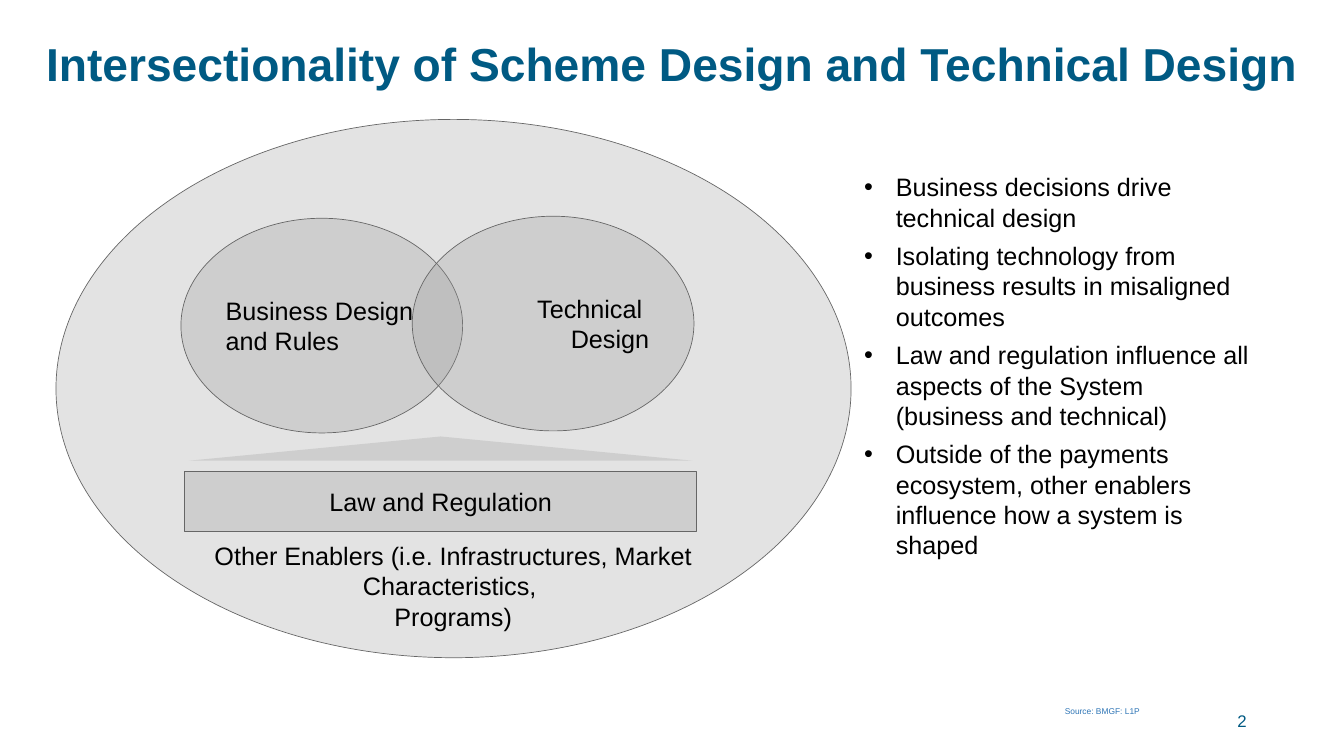
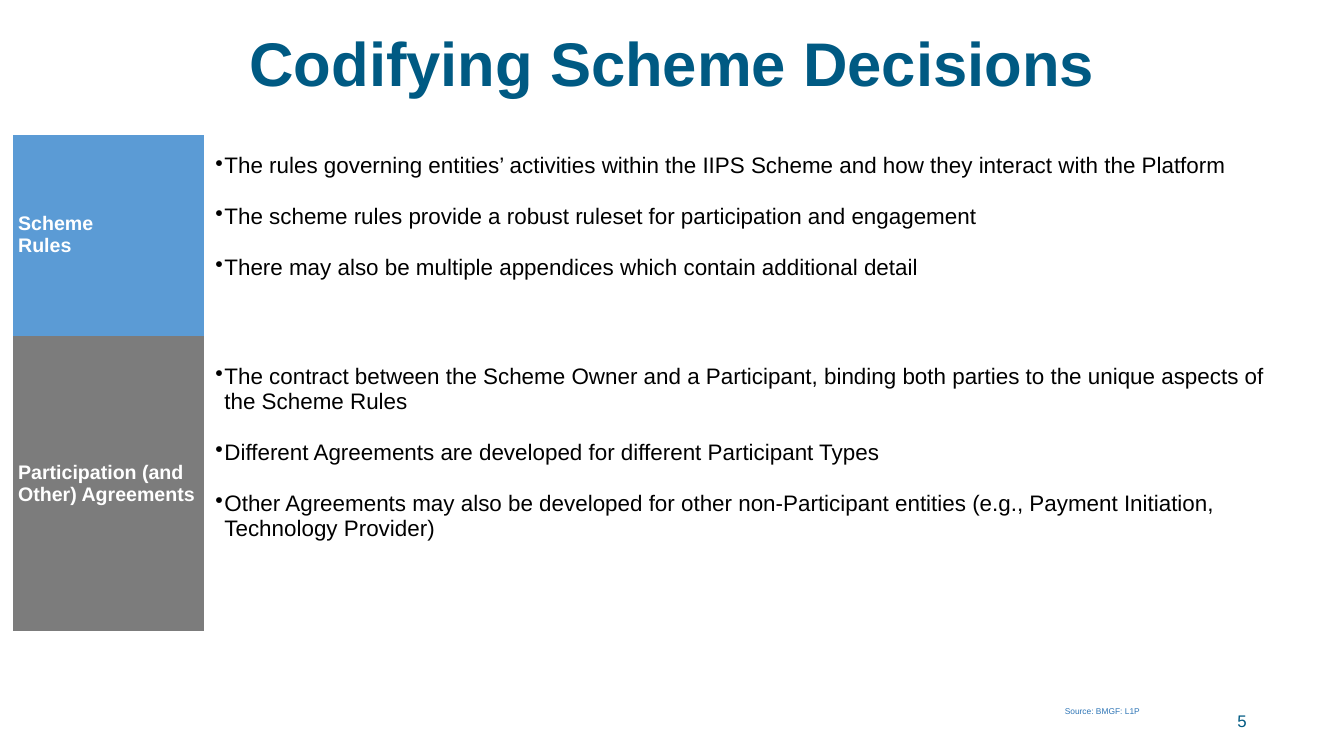
"""Build two slides on scheme design and the codifying of scheme decisions."""
import dataclasses
import typing

import lxml.etree
import pptx
import pptx.dml.color
import pptx.enum.shapes
import pptx.enum.text
import pptx.oxml.ns
import pptx.util

Pt = pptx.util.Pt
Align = pptx.enum.text.PP_ALIGN
Anchor = pptx.enum.text.MSO_ANCHOR
Kind = pptx.enum.shapes.MSO_SHAPE
qn = pptx.oxml.ns.qn

FONT = "Arial"
HUES = {
    "title": "005A83",
    "source": "2E75B6",
    "text": "000000",
    "white": "FFFFFF",
    "gray": "999999",
    "edge": "666666",
    "rules": "5B9BD5",
    "deals": "7C7C7C",
}
PLAIN_TABLE = "{2D5ABB26-0587-4C30-8999-92F81FD0307C}"


@dataclasses.dataclass(frozen=True)
class Box:
    left: float
    top: float
    width: float
    height: float

    def spots(self) -> list:
        return [Pt(v) for v in (self.left, self.top, self.width, self.height)]


@dataclasses.dataclass(frozen=True)
class Style:
    size: float
    hue: str = "text"
    bold: bool = False
    align: typing.Any = Align.LEFT


@dataclasses.dataclass(frozen=True)
class Zone:
    kind: typing.Any
    box: Box
    text: str = ""
    align: typing.Any = Align.CENTER
    edge: float = 1


@dataclasses.dataclass(frozen=True)
class Row:
    height: float
    hue: str
    head: list[str]
    points: list[str]
    inset: float


TITLE_BOX = Box(44.6, 36.7, 1831, 117.4)
PAGE_BOX = Box(1356.5, 1000.8, 432, 57.6)
SOURCE_BOX = Box(1514.2, 1005.1, 243.4, 28.8)
LIST_BOX = Box(1227.6, 182.2, 573.1, 680.4)
OTHER_BOX = Box(251, 770, 793, 134)
TABLE_BOX = Box(18.7, 192.2, 1831, 709.2)
HEAD_WIDTH = 272.2

BODY = Style(36)
CELL = Style(32)
HEAD = Style(28, "white", True)
GAP = 36.8

ZONES = [
    Zone(Kind.OVAL, Box(80, 170.6, 1136, 769)),
    Zone(Kind.OVAL, Box(258.5, 311.8, 402.5, 306.7), "Business Design and Rules", Align.LEFT),
    Zone(Kind.OVAL, Box(589, 308.9, 402.5, 306.7), "Technical \nDesign", Align.RIGHT),
    Zone(Kind.RECTANGLE, Box(263.5, 673.9, 732.2, 85.7), "Law and Regulation", edge=1.5),
    Zone(Kind.ISOSCELES_TRIANGLE, Box(270, 623.5, 719.3, 34.6), edge=0),
]

POINTS = [
    "Business decisions drive technical design",
    "Isolating technology from business results in misaligned outcomes",
    "Law and regulation influence all aspects of the System (business and technical)",
    "Outside of the payments ecosystem, other enablers influence how a system is shaped",
]

ROWS = [
    Row(287.3, "rules", ["Scheme", "Rules"], [
        "The rules governing entities’ activities within the IIPS Scheme and how they interact with the Platform",
        "The scheme rules provide a robust ruleset for participation and engagement",
        "There may also be multiple appendices which contain additional detail",
    ], 26.6),
    Row(421.9, "deals", ["Participation (and Other) Agreements"], [
        "The contract between the Scheme Owner and a Participant, binding both parties to the unique aspects of the Scheme Rules",
        "Different Agreements are developed for different Participant Types",
        "Other Agreements may also be developed for other non-Participant entities (e.g., Payment Initiation, Technology Provider)",
    ], 40.4),
]


def tint(name: str) -> pptx.dml.color.RGBColor:
    return pptx.dml.color.RGBColor.from_string(HUES[name])


def write(par: typing.Any, text: str, style: Style) -> None:
    par.alignment = style.align
    for at, part in enumerate(text.split("\n")):
        if at:
            par.add_line_break()
        run = par.add_run()
        run.text = part
        font = run.font
        font.name, font.size, font.bold = FONT, Pt(style.size), style.bold
        font.color.rgb = tint(style.hue)


def fill_frame(frame: typing.Any, lines: list[str], style: Style) -> None:
    for at, line in enumerate(lines):
        par = frame.add_paragraph() if at else frame.paragraphs[0]
        write(par, line, style)


def fill_list(frame: typing.Any, lines: list[str], style: Style, left: float,
              hang: float, before: float, after: float = 0) -> None:
    fill_frame(frame, lines, style)
    for at, par in enumerate(frame.paragraphs):
        props = par._p.get_or_add_pPr()
        props.set("marL", str(Pt(left)))
        props.set("indent", str(-Pt(hang)))
        lxml.etree.SubElement(props, qn("a:buChar")).set("char", "•")
        par.space_before = Pt(before if at else 0)
        par.space_after = Pt(after)


def set_frame(frame: typing.Any, anchor: typing.Any) -> None:
    frame.word_wrap = True
    frame.auto_size = pptx.enum.text.MSO_AUTO_SIZE.NONE
    frame.vertical_anchor = anchor


def place(shape: typing.Any, box: Box) -> None:
    shape.left, shape.top, shape.width, shape.height = box.spots()


def add_text(slide: typing.Any, box: Box, text: str, style: Style,
             anchor: typing.Any = Anchor.MIDDLE) -> None:
    frame = slide.shapes.add_textbox(*box.spots()).text_frame
    set_frame(frame, anchor)
    write(frame.paragraphs[0], text, style)


def add_zone(slide: typing.Any, zone: Zone) -> None:
    shape = slide.shapes.add_shape(zone.kind, *zone.box.spots())
    shape.shadow.inherit = False
    shape.fill.solid()
    shape.fill.fore_color.rgb = tint("gray")
    color = shape.fill._xPr.find(qn("a:solidFill"))[0]
    lxml.etree.SubElement(color, qn("a:alpha")).set("val", "27000")
    if zone.edge:
        shape.line.color.rgb = tint("edge")
        shape.line.width = Pt(zone.edge)
    else:
        shape.line.fill.background()
    if zone.text:
        frame = shape.text_frame
        set_frame(frame, Anchor.MIDDLE)
        frame.margin_left = frame.margin_right = Pt(5)
        frame.margin_top = frame.margin_bottom = Pt(3)
        write(frame.paragraphs[0], zone.text, Style(36, align=zone.align))


def add_slide(deck: typing.Any, layout: int, title: str, size: float, page: str) -> typing.Any:
    slide = deck.slides.add_slide(deck.slide_layouts[layout])
    head = slide.shapes.title
    place(head, TITLE_BOX)
    set_frame(head.text_frame, Anchor.MIDDLE)
    par = head.text_frame.paragraphs[0]
    write(par, title, Style(size, "title", True, Align.CENTER))
    par.line_spacing = 0.9
    add_text(slide, PAGE_BOX, page, Style(24, "title", align=Align.RIGHT))
    add_text(slide, SOURCE_BOX, "Source: BMGF: L1P", Style(12, "source"), Anchor.TOP)
    return slide


def draw_design(deck: typing.Any) -> None:
    slide = add_slide(deck, 1, "Intersectionality of Scheme Design and Technical Design", 66, "2")
    for zone in ZONES:
        add_zone(slide, zone)
    add_text(slide, OTHER_BOX,
             "Other Enablers (i.e. Infrastructures, Market Characteristics, \nPrograms)",
             Style(36, align=Align.CENTER))
    body = slide.placeholders[1]
    place(body, LIST_BOX)
    set_frame(body.text_frame, Anchor.MIDDLE)
    fill_list(body.text_frame, POINTS, BODY, 45, 45, 6, 6)


def draw_rules(deck: typing.Any) -> None:
    slide = add_slide(deck, 5, "Codifying Scheme Decisions", 88, "5")
    table = slide.shapes.add_table(len(ROWS), 2, *TABLE_BOX.spots()).table
    table._tbl.tblPr.find(qn("a:tableStyleId")).text = PLAIN_TABLE
    table.first_row = table.horz_banding = False
    table.columns[0].width = Pt(HEAD_WIDTH)
    table.columns[1].width = Pt(TABLE_BOX.width - HEAD_WIDTH)
    for at, row in enumerate(ROWS):
        table.rows[at].height = Pt(row.height)
        head, cell = table.cell(at, 0), table.cell(at, 1)
        head.fill.solid()
        head.fill.fore_color.rgb = tint(row.hue)
        head.vertical_anchor = Anchor.MIDDLE
        fill_frame(head.text_frame, row.head, HEAD)
        cell.fill.background()
        cell.margin_top = Pt(row.inset)
        fill_list(cell.text_frame, row.points, CELL, 22.5, 13, GAP)


def main() -> None:
    deck = pptx.Presentation()
    deck.slide_width, deck.slide_height = Pt(1920.24), Pt(1080)
    draw_design(deck)
    draw_rules(deck)
    deck.save("out.pptx")


if __name__ == "__main__":
    main()
